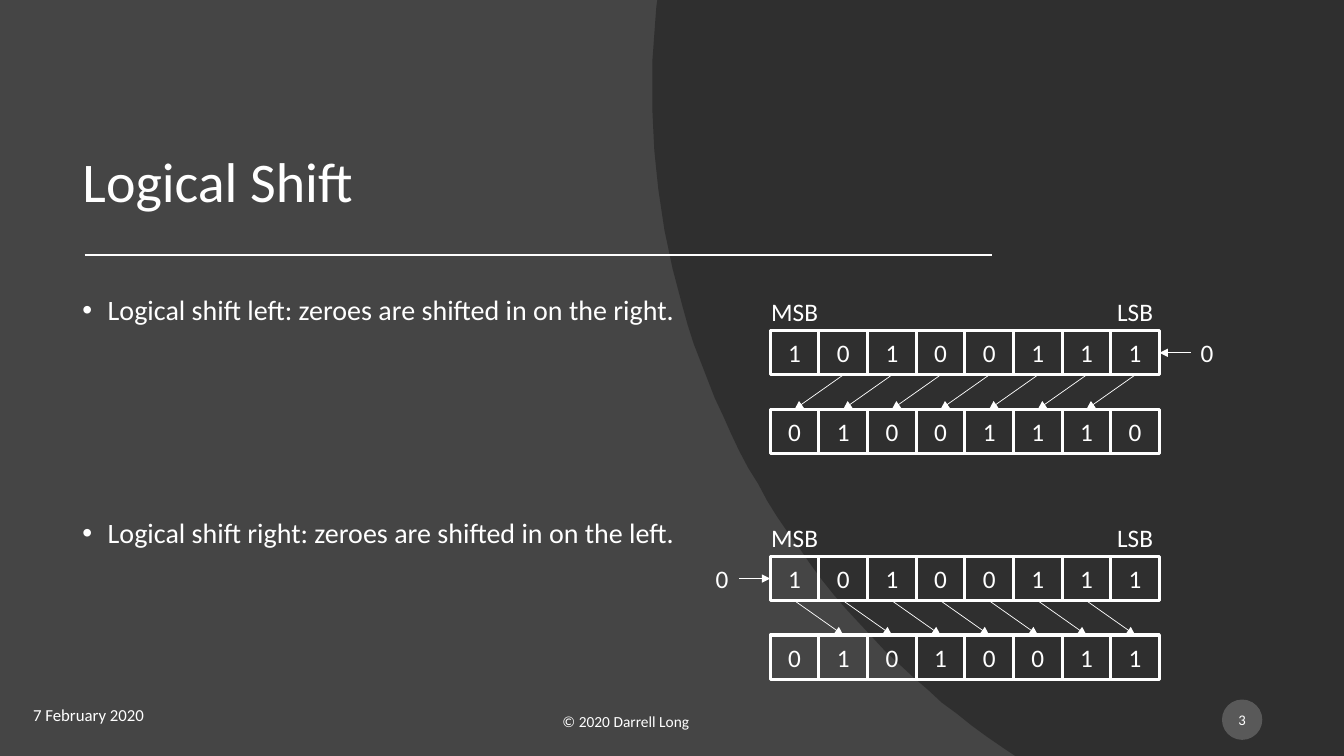
from lxml.etree import SubElement
from pptx import Presentation
from pptx.dml.color import RGBColor
from pptx.enum.shapes import MSO_CONNECTOR as Connector, MSO_SHAPE as Shape
from pptx.enum.text import MSO_ANCHOR as Anchor, PP_ALIGN as Align
from pptx.oxml.ns import qn
from pptx.util import Pt

PX = 9144  # 100 px to the inch
WIDTH, HEIGHT = 1333, 750
WHITE = RGBColor(0xFF, 0xFF, 0xFF)
BACKGROUND = RGBColor(0x45, 0x45, 0x45)
SWEEP = RGBColor(0x26, 0x26, 0x26)
BADGE = RGBColor(0x59, 0x59, 0x59)
FONT = "Calibri"
TOP, LEFT, BOTTOM, RIGHT = range(4)

BITS = 8
ROW_WIDTH, CELL_HEIGHT, ROW_STEP = 386, 44, 78
LABEL_HEIGHT, LABEL_RISE = 40, 39
CARRY_WIDTH, CARRY_GAP = 33, 31


def emu(*lengths):
    return [round(length * PX) for length in lengths]


def write(shape, *lines, size=18, align=Align.LEFT, anchor=Anchor.TOP, wrap=True,
          spacing=None, before=0, between=None, after=0, bullet=False):
    """Fill a shape with one paragraph per line; between is the gap before later ones."""
    frame = shape.text_frame
    frame.word_wrap = wrap
    frame.vertical_anchor = anchor
    for index, line in enumerate(lines):
        para = frame.paragraphs[0] if index == 0 else frame.add_paragraph()
        para.alignment = align
        para.line_spacing = spacing
        para.space_before = Pt(between if index and between else before)
        para.space_after = Pt(after)
        if bullet:
            properties = para._p.get_or_add_pPr()
            properties.set("marL", str(25 * PX))
            properties.set("indent", str(-25 * PX))
            SubElement(properties, qn("a:buFont"), typeface="Arial")
            SubElement(properties, qn("a:buChar"), char="•")
        span = para.add_run()
        span.text = line
        span.font.name = FONT
        span.font.size = Pt(size)
        span.font.color.rgb = WHITE
    return shape


def add_text(shapes, box, *lines, **style):
    return write(shapes.add_textbox(*emu(*box)), *lines, **style)


def add_line(shapes, start=(0, 0), end=(0, 0), width=0.5):
    line = shapes.add_connector(Connector.STRAIGHT, *emu(*start, *end))
    line.line.color.rgb = WHITE
    line.line.width = Pt(width)
    SubElement(line._element.spPr, qn("a:effectLst"))
    return line


def add_arrow(shapes, source, source_side, target, target_side):
    arrow = add_line(shapes)
    arrow.begin_connect(source, source_side)
    arrow.end_connect(target, target_side)
    SubElement(arrow.line._get_or_add_ln(), qn("a:tailEnd"), type="triangle")


def curve(start, first, second, end, steps=40):
    """Points along a cubic curve, without its start."""
    for step in range(1, steps + 1):
        t = step / steps
        u = 1 - t
        yield tuple(u**3 * a + 3 * u * u * t * b + 3 * u * t * t * c + t**3 * d
                    for a, b, c, d in zip(start, first, second, end))


def add_sweep(page):
    foot, shoulder, neck = (995, 742), (647, 88), (651, 7)
    outline = [(WIDTH, 0), (WIDTH, HEIGHT), (1007, HEIGHT), foot,
               *curve(foot, (785, 600), (647, 360), shoulder),
               *curve(shoulder, (647, 61), (648, 34), neck, 6)]
    builder = page.shapes.build_freeform(652, 0, scale=PX)
    builder.add_line_segments(outline, close=True)
    sweep = builder.convert_to_shape()
    sweep.shadow.inherit = False
    sweep.fill.solid()
    sweep.fill.fore_color.rgb = SWEEP
    sweep.line.fill.background()
    color = sweep._element.spPr.find(qn("a:solidFill"))[0]
    SubElement(color, qn("a:alpha"), val="70000")


def add_heading(page, left, top):
    add_text(page.shapes, (left, top, 986, 178), "Logical Shift",
             size=40, anchor=Anchor.BOTTOM, spacing=0.9)
    rule_left, rule_top = left + 12, top + 213
    add_line(page.shapes, (rule_left, rule_top), (rule_left + 900, rule_top), 1.5)


def add_body(page, box):
    add_text(page.shapes, box,
             "Logical shift left: zeroes are shifted in on the right.",
             "Logical shift right: zeroes are shifted in on the left.",
             size=20, spacing=0.9, before=10, between=138, bullet=True)


def add_footer(page, top):
    add_text(page.shapes, (548, top + 7, 216, 40), "© 2020 Darrell Long",
             size=11, anchor=Anchor.MIDDLE, after=6)
    badge = page.shapes.add_shape(Shape.OVAL, *emu(1212, top + 5, 40, 40))
    badge.shadow.inherit = False
    badge.fill.solid()
    badge.fill.fore_color.rgb = BADGE
    badge.line.fill.background()
    badge.text_frame.margin_left = badge.text_frame.margin_right = 0
    write(badge, "3", size=10.5, align=Align.CENTER, anchor=Anchor.MIDDLE, after=6)
    add_text(page.shapes, (23, top, 146, 40), "7 February 2020",
             size=12, anchor=Anchor.MIDDLE)


def add_register(shapes, left, top, bits):
    """Draw a row of cells, one per bit, and return them."""
    cells = []
    edges = [left + ROW_WIDTH * index / BITS for index in range(BITS)]
    for edge, bit in zip(edges, bits):
        cell = shapes.add_shape(
            Shape.RECTANGLE, *emu(edge, top, ROW_WIDTH / BITS, CELL_HEIGHT))
        cell.shadow.inherit = False
        cell.fill.background()
        cell.line.color.rgb = WHITE
        cell.line.width = Pt(2.25)
        cells.append(write(cell, bit, align=Align.CENTER, anchor=Anchor.MIDDLE, wrap=False))
    return cells


def add_shift(page, left, top, before, after, to_left):
    """Draw a register before and after a shift by one place."""
    shapes = page.shapes.add_group_shape().shapes
    old = add_register(shapes, left, top, before)
    new = add_register(shapes, left, top + ROW_STEP, after)
    half_cell = ROW_WIDTH / BITS / 2
    for label, width, center in (("MSB", 67, left + half_cell),
                                 ("LSB", 56, left + ROW_WIDTH - half_cell)):
        add_text(shapes, (center - width / 2, top - LABEL_RISE, width, LABEL_HEIGHT),
                 label, align=Align.CENTER, wrap=False)

    pairs = zip(old[1:], new) if to_left else zip(old, new[1:])
    for source, target in pairs:
        add_arrow(shapes, source, BOTTOM, target, TOP)

    carry_left = left + ROW_WIDTH + CARRY_GAP if to_left else left - CARRY_GAP - CARRY_WIDTH
    carry = add_text(shapes, (carry_left, top + 2, CARRY_WIDTH, LABEL_HEIGHT), "0", wrap=False)
    if to_left:
        add_arrow(shapes, carry, LEFT, old[-1], RIGHT)
    else:
        add_arrow(shapes, carry, RIGHT, old[0], LEFT)


def main():
    deck = Presentation()
    deck.slide_width, deck.slide_height = emu(WIDTH, HEIGHT)
    page = deck.slides.add_slide(deck.slide_layouts[6])
    page.background.fill.solid()
    page.background.fill.fore_color.rgb = BACKGROUND
    add_sweep(page)
    add_heading(page, 72, 40)
    add_body(page, (72, 289, 986, 364))
    add_footer(page, 689)
    add_shift(page, 764, 328, "10100111", "01001110", to_left=True)
    add_shift(page, 764, 552, "10100111", "01010011", to_left=False)
    deck.save("out.pptx")


if __name__ == "__main__":
    main()
